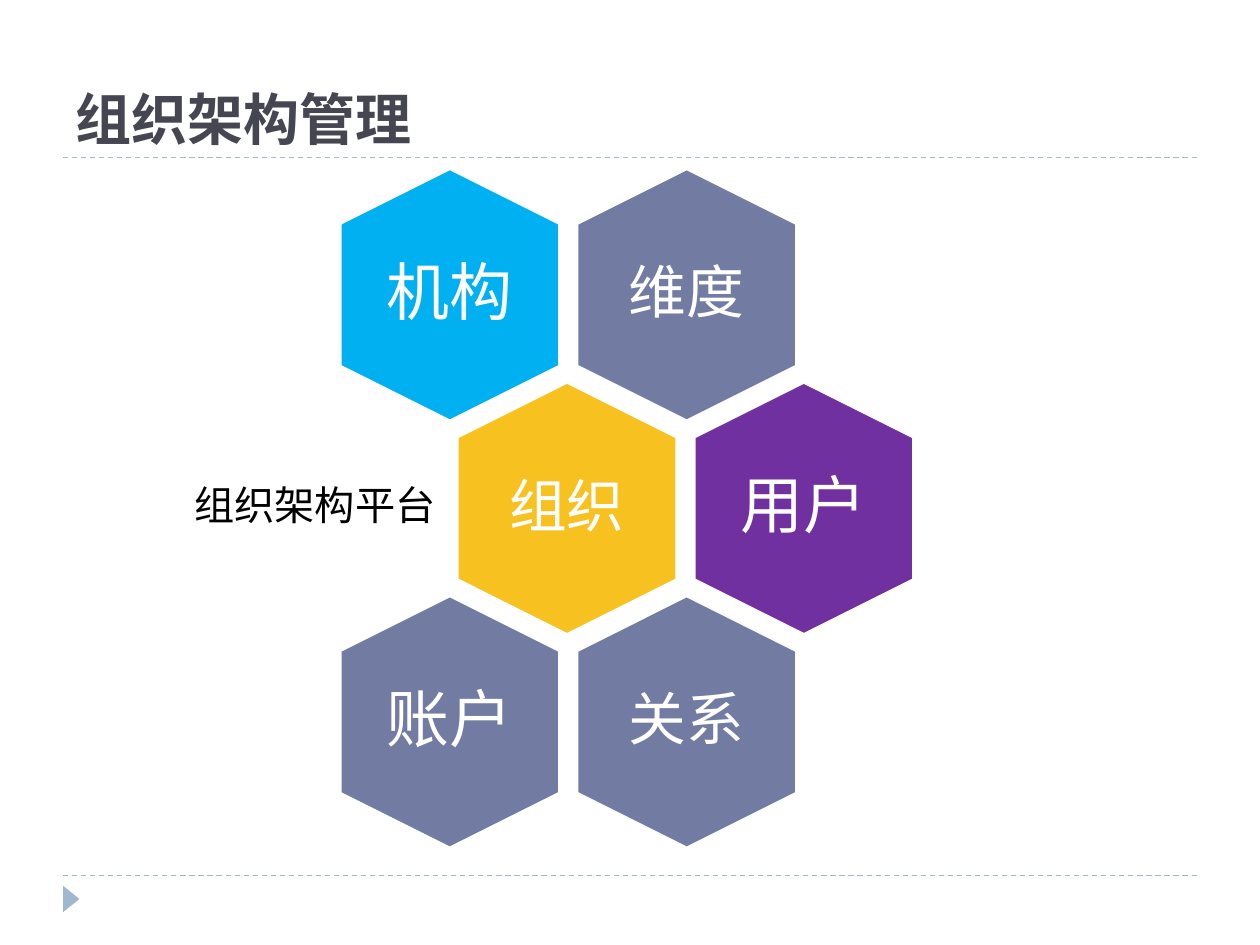
from lxml.etree import SubElement
from pptx import Presentation
from pptx.dml.color import RGBColor
from pptx.enum.dml import MSO_LINE
from pptx.enum.shapes import MSO_CONNECTOR, MSO_SHAPE
from pptx.enum.text import MSO_ANCHOR, PP_ALIGN
from pptx.oxml.ns import qn
from pptx.util import Inches, Pt

FONT = "Noto Sans CJK SC"
SLATE, STEEL, WHITE = "727CA3", "9FB8CD", "FFFFFF"
CELLS = [
    (0, 1, "维度", SLATE, 33),
    (0, 0, "机构", "00B0F0", 36),
    (1, 0, "组织", "F7C120", 33),
    (1, 1, "用户", "7030A0", 36),
    (2, 1, "关系", SLATE, 33),
    (2, 0, "账户", SLATE, 36),
]


def color(code):
    """Turn a hex string into a colour."""
    return RGBColor.from_string(code)


def add_text(slide, text, box, size, code, align=PP_ALIGN.CENTER,
             anchor=MSO_ANCHOR.MIDDLE, inset=(0, 0), space=0.9, bold=False):
    """Add one line of text in a box."""
    shape = slide.shapes.add_textbox(*map(Inches, box))
    frame = shape.text_frame
    frame.word_wrap = True
    frame.vertical_anchor = anchor
    frame.margin_left = frame.margin_right = Inches(inset[0])
    frame.margin_top = frame.margin_bottom = Inches(inset[1])
    para = frame.paragraphs[0]
    para.text = text
    para.alignment = align
    para.line_spacing = space
    font = para.font
    font.name, font.size, font.bold = FONT, Pt(size), bold
    font.color.rgb = color(code)
    props = para._p.pPr.find(qn("a:defRPr"))
    SubElement(props, qn("a:ea")).set("typeface", FONT)


def add_rule(slide, top):
    """Add a dashed line across the slide."""
    rule = slide.shapes.add_connector(
        MSO_CONNECTOR.STRAIGHT, Inches(0.5), Inches(top), Inches(9.5), Inches(top))
    rule.line.color.rgb = color(STEEL)
    rule.line.width = Pt(0.75)
    rule.line.dash_style = MSO_LINE.DASH
    SubElement(rule._element.spPr, qn("a:effectLst"))


def add_turned(slide, kind, box, fill):
    """Add a filled shape turned by a quarter."""
    shape = slide.shapes.add_shape(kind, *map(Inches, box))
    shape.rotation = 90
    shape.shadow.inherit = False
    shape.fill.solid()
    shape.fill.fore_color.rgb = color(fill)
    shape.line.fill.background()
    return shape


def add_cell(slide, row, col, text, fill, size):
    """Add a labelled hexagon at its place in the honeycomb."""
    mid = 3.57 + 1.88 * col + 0.93 * (row % 2)
    level = 2.34 + 1.695 * row
    cell = add_turned(slide, MSO_SHAPE.HEXAGON, (mid - 1, level - 0.87, 2, 1.74), fill)
    cell.adjustments[0] = 0.25
    cell.line.color.rgb = color(WHITE)
    cell.line.width = Pt(1.5)
    inset = 0.14 if size == 33 else 0
    add_text(slide, text, (mid - 0.6, level - 0.69, 1.2, 1.38), size, WHITE,
             inset=(inset, inset))


def main():
    """Build the slide and save it."""
    deck = Presentation()
    deck.slide_width, deck.slide_height = Inches(10), Inches(7.5)
    slide = deck.slides.add_slide(deck.slide_layouts[6])
    for top in (6.95, 1.25):
        add_rule(slide, top)
    add_turned(slide, MSO_SHAPE.ISOSCELES_TRIANGLE, (0.46, 7.07, 0.21, 0.13), STEEL)
    add_text(slide, "组织架构管理", (0.5, 0.17, 9, 1.08), 32, "464653", PP_ALIGN.LEFT,
             MSO_ANCHOR.BOTTOM, (0.1, 0.05), 1, True)
    for cell in CELLS:
        add_cell(slide, *cell)
    add_text(slide, "组织架构平台", (1.4, 3.43, 2.16, 1.2), 23, "000000",
             PP_ALIGN.RIGHT, inset=(0.1, 0.1))
    deck.save("out.pptx")


if __name__ == "__main__":
    main()
